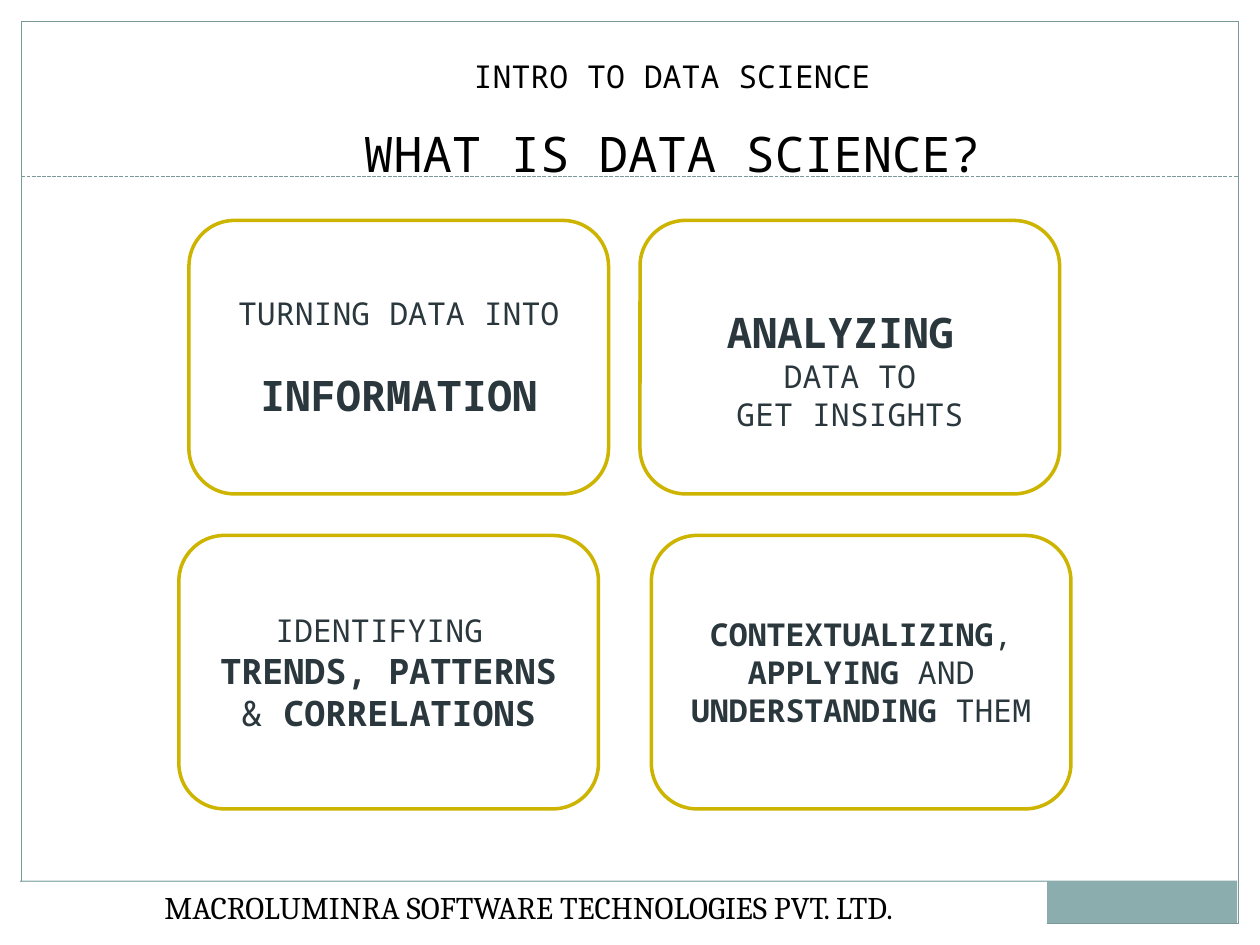
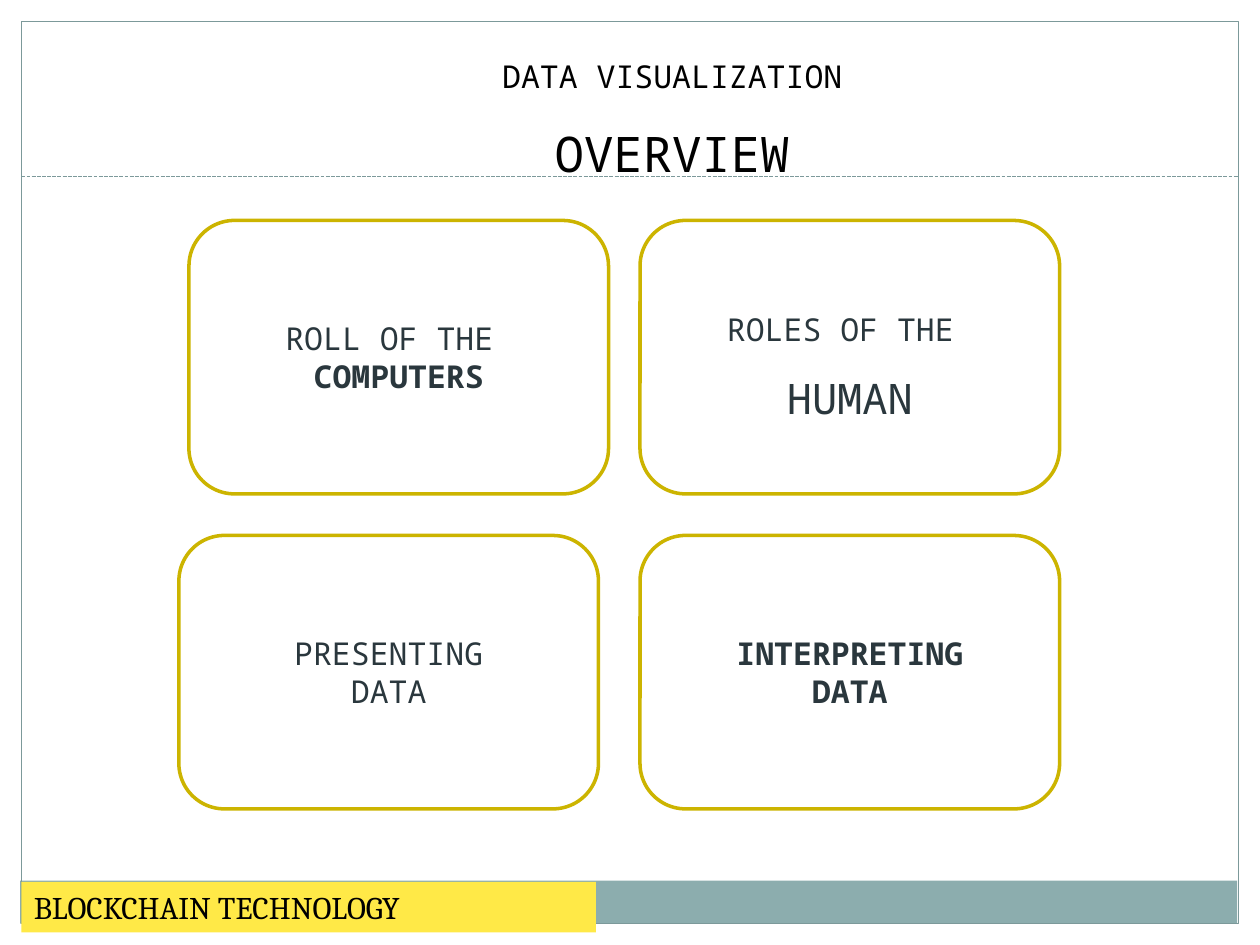
from lxml import etree
from pptx import Presentation
from pptx.dml.color import RGBColor
from pptx.enum.dml import MSO_LINE
from pptx.enum.shapes import MSO_CONNECTOR, MSO_SHAPE
from pptx.enum.text import MSO_ANCHOR, MSO_AUTO_SIZE, PP_ALIGN
from pptx.oxml.ns import qn
from pptx.util import Inches, Pt

WHITE = RGBColor(0xFF, 0xFF, 0xFF)
BLACK = RGBColor(0x00, 0x00, 0x00)
SLATE = RGBColor(0x2A, 0x37, 0x3D)
TEAL = RGBColor(0x8C, 0xAD, 0xAE)
TEAL_LINE = RGBColor(0x7C, 0x99, 0x9A)
GOLD = RGBColor(0xCC, 0xB4, 0x00)
YELLOW = RGBColor(0xFF, 0xE9, 0x47)

MONO, SERIF = "Noto Sans Mono", "Cambria"
RECT, ROUND_RECT = MSO_SHAPE.RECTANGLE, MSO_SHAPE.ROUNDED_RECTANGLE
STRAIGHT, DASH = MSO_CONNECTOR.STRAIGHT, MSO_LINE.SQUARE_DOT
TOP, MIDDLE = MSO_ANCHOR.TOP, MSO_ANCHOR.MIDDLE
LEFT, CENTER = PP_ALIGN.LEFT, PP_ALIGN.CENTER
NO_FIT = MSO_AUTO_SIZE.NONE

SLIDE_W, SLIDE_H, MARGIN = 10, 7.5, 0.17
TITLE_BOX = (2.5, 0.25, 5.67, 1.25)
CARD_W, CARD_H = 3.33, 2.17
CARD_TOP, CARD_PITCH = 1.75, 2.5
BOLD = {"bold": True}
BIG = {"size": Pt(24)}
BIG_BOLD = {"size": Pt(24), "bold": True}
MID = {"size": Pt(20)}
MID_BOLD = {"size": Pt(20), "bold": True}
WIDE = {"line_spacing": 1.5}


def add_box(s, kind, box, fill=None, line=None, width=0.75):
    """Add a preset shape with the given fill and outline."""
    sp = s.shapes.add_shape(kind, *map(Inches, box))
    sp.shadow.inherit = False
    if fill is None:
        sp.fill.background()
    else:
        sp.fill.solid()
        sp.fill.fore_color.rgb = fill
    if line is None:
        sp.line.fill.background()
    else:
        sp.line.color.rgb = line
        sp.line.width = Pt(width)
    return sp


def write(sp, paragraphs, font=MONO, color=BLACK, anchor=TOP, align=CENTER):
    """Fill a shape with (paragraph format, runs) pairs."""
    tf = sp.text_frame
    frame = {"word_wrap": True, "auto_size": NO_FIT, "vertical_anchor": anchor,
             "margin_left": Inches(0.1), "margin_right": Inches(0.1),
             "margin_top": Inches(0.05), "margin_bottom": Inches(0.05)}
    for name, value in frame.items():
        setattr(tf, name, value)
    for i, (layout, runs) in enumerate(paragraphs):
        p = tf.add_paragraph() if i else tf.paragraphs[0]
        for name, value in {"alignment": align, **layout}.items():
            setattr(p, name, value)
        for text, style in runs:
            r = p.add_run()
            r.text = text
            look = {"name": font, "size": Pt(18), "bold": False, **style}
            for name, value in look.items():
                setattr(r.font, name, value)
            r.font.color.rgb = color


def add_frame(s):
    """Draw the dashed rule, margins, footer band and border."""
    rule = s.shapes.add_connector(STRAIGHT, Inches(MARGIN), Inches(1.4),
                                  Inches(SLIDE_W - MARGIN), Inches(1.4))
    rule.line.color.rgb = TEAL_LINE
    rule.line.width = Pt(0.75)
    rule.line.dash_style = DASH
    etree.SubElement(rule._element.spPr, qn("a:effectLst"))
    for margin in ((0, 0, SLIDE_W, MARGIN),
                   (SLIDE_W - MARGIN, 0, MARGIN, SLIDE_H),
                   (0, 0, MARGIN, SLIDE_H)):
        add_box(s, RECT, margin, WHITE)
    add_box(s, RECT, (0.16, 6.99, 9.66, 0.34), TEAL)
    add_box(s, RECT, (MARGIN, MARGIN, SLIDE_W - 2 * MARGIN, 7.16), line=TEAL_LINE)


def add_title(s, box, topic, heading):
    """Place the two-line title above the shared frame."""
    title = s.shapes.title
    title.left, title.top, title.width, title.height = map(Inches, box)
    write(title, [(WIDE, [(topic, {})]), (WIDE, [(heading, {"size": Pt(28)})])])
    title._element.getparent().append(title._element)


def add_cards(s, cards):
    """Lay out (left, paragraphs) cards two to a row."""
    for i, (left, paragraphs) in enumerate(cards):
        top = CARD_TOP + i // 2 * CARD_PITCH
        card = add_box(s, ROUND_RECT, (left, top, CARD_W, CARD_H), WHITE, GOLD, 2)
        write(card, paragraphs, color=SLATE, anchor=MIDDLE)


def add_footer(s, box, text, fill, align):
    """Add the footer label over the band."""
    write(add_box(s, RECT, box, fill), [({}, [(text, {})])], SERIF, align=align)


def add_card_slide(prs, topic, heading, cards, footer):
    """Build one slide of four cards."""
    s = prs.slides.add_slide(prs.slide_layouts[5])
    add_frame(s)
    add_title(s, TITLE_BOX, topic, heading)
    add_cards(s, cards)
    add_footer(s, *footer)


SCIENCE_CARDS = [
    (1.5, [({}, [("TURNING DATA INTO", {})]),
           ({"space_before": Pt(21.5)}, [("INFORMATION", BIG_BOLD)])]),
    (5.08, [(WIDE, [("ANALYZING", BIG_BOLD), (" ", {})]),
            ({}, [("DATA TO", {})]),
            ({}, [("GET INSIGHTS", {})])]),
    (1.42, [({}, [("IDENTIFYING ", {})]),
            ({}, [("TRENDS, PATTERNS", MID_BOLD)]),
            ({}, [("&", MID), (" CORRELATIONS", MID_BOLD)])]),
    (5.17, [({}, [("CONTEXTUALIZING", BOLD), (", ", {}), ("APPLYING", BOLD),
                  (" AND ", {}), ("UNDERSTANDING", BOLD), (" THEM", {})])]),
]
VISUALIZATION_CARDS = [
    (1.5, [({}, [("ROLL OF THE ", {})]), ({}, [("COMPUTERS", BOLD)])]),
    (5.08, [(WIDE, [("ROLES OF THE ", {})]), (WIDE, [("HUMAN", BIG)])]),
    (1.42, [({}, [("PRESENTING", {})]), ({}, [("DATA", {})])]),
    (5.08, [({}, [("INTERPRETING", BOLD)]), ({}, [("DATA", BOLD)])]),
]


def main():
    """Build and save the deck."""
    prs = Presentation()
    prs.slide_width, prs.slide_height = Inches(SLIDE_W), Inches(SLIDE_H)
    add_card_slide(prs, "INTRO TO DATA SCIENCE", "WHAT IS DATA SCIENCE?", SCIENCE_CARDS,
                   ((0.13, 7, 8.18, 0.4), "MACROLUMINRA SOFTWARE TECHNOLOGIES PVT. LTD. ",
                    WHITE, CENTER))
    add_card_slide(prs, "DATA VISUALIZATION", "OVERVIEW", VISUALIZATION_CARDS,
                   ((MARGIN, 7, 4.56, 0.4), "BLOCKCHAIN TECHNOLOGY", YELLOW, LEFT))
    prs.save("out.pptx")


if __name__ == "__main__":
    main()
